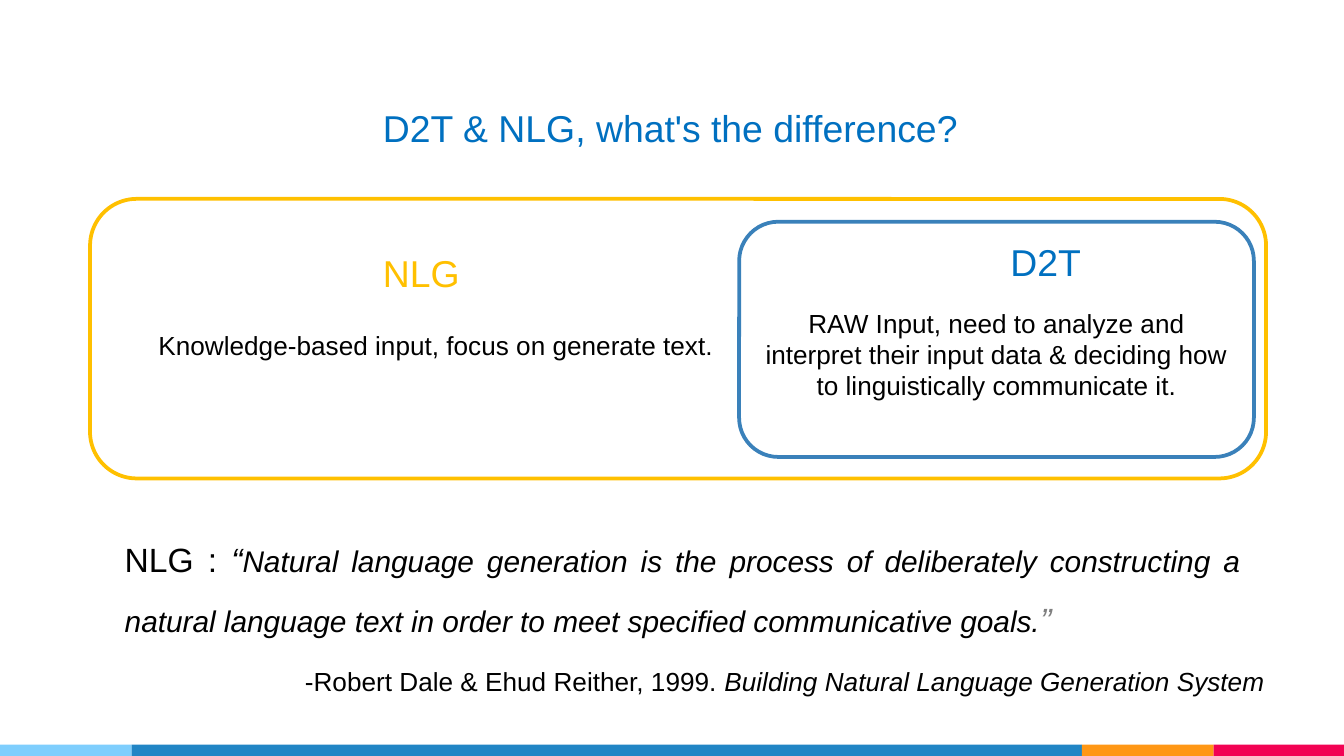
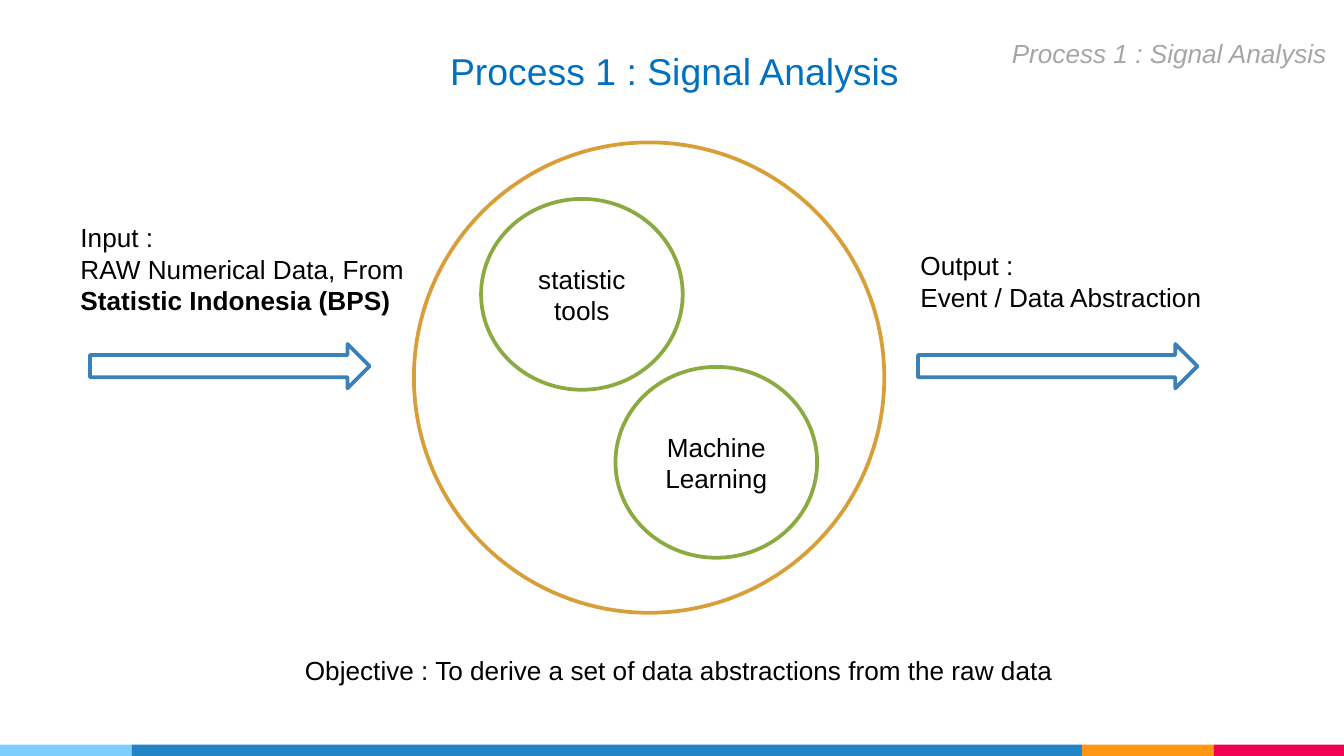
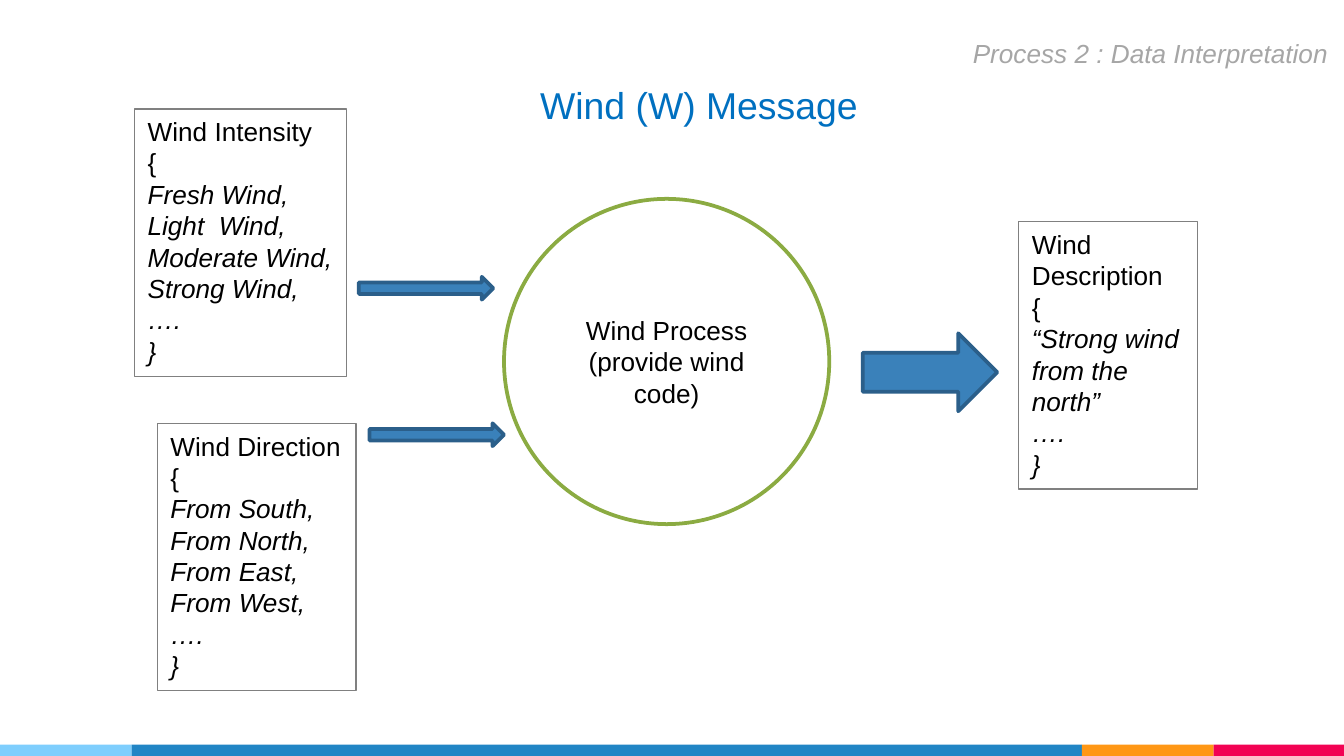
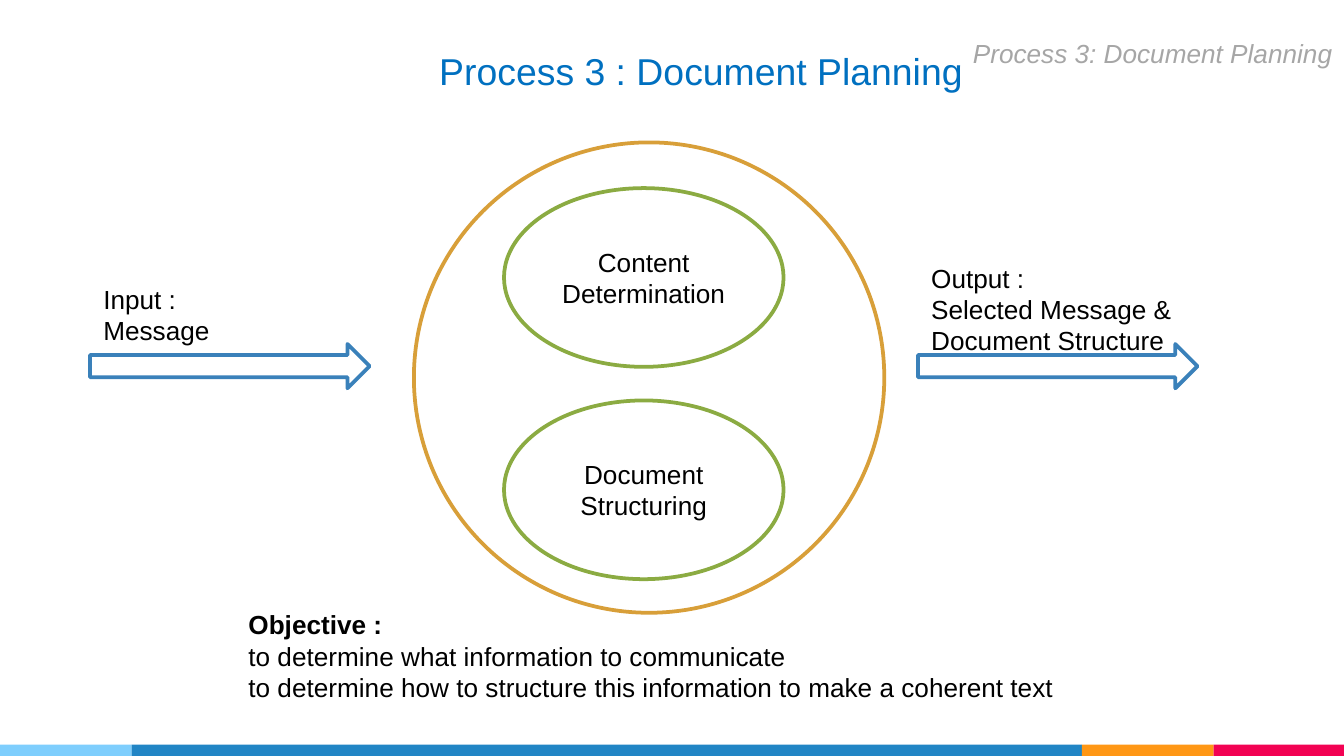
"""Build four slides on data-to-text and natural language generation."""
from pptx import Presentation
from pptx.dml.color import RGBColor
from pptx.enum.shapes import MSO_SHAPE as SHAPE
from pptx.enum.text import MSO_ANCHOR as ANCHOR, PP_ALIGN as ALIGN
from pptx.util import Inches, Pt

FONT = "Arial"
BLACK = RGBColor(0x00, 0x00, 0x00)
WHITE = RGBColor(0xFF, 0xFF, 0xFF)
GREY = RGBColor(0x80, 0x80, 0x80)
LIGHT_GREY = RGBColor(0xA6, 0xA6, 0xA6)
TITLE_BLUE = RGBColor(0x00, 0x70, 0xC0)
AMBER = RGBColor(0xFF, 0xC0, 0x00)
BLUE = RGBColor(0x3A, 0x81, 0xBA)
DARK_BLUE = RGBColor(0x2B, 0x5F, 0x8A)
OCHRE = RGBColor(0xD8, 0x9F, 0x39)
GREEN = RGBColor(0x8B, 0xAB, 0x42)
BANDS = (
    (0.98, RGBColor(0x7E, 0xCE, 0xFD)),
    (7.07, RGBColor(0x21, 0x85, 0xC5)),
    (0.98, RGBColor(0xFF, 0x97, 0x15)),
    (0.97, RGBColor(0xF2, 0x02, 0x53)),
)


def write(tf, paragraphs, size=14, color=BLACK, bold=False, italic=False,
          align=ALIGN.LEFT, spacing=None):
    if isinstance(paragraphs, str):
        paragraphs = [paragraphs]
    for i, runs in enumerate(paragraphs):
        p = tf.add_paragraph() if i else tf.paragraphs[0]
        p.alignment = align
        if spacing:
            p.line_spacing = spacing
        if isinstance(runs, str):
            runs = [(runs, {})]
        for text, own in runs:
            r = p.add_run()
            r.text = text
            r.font.name = FONT
            r.font.size = Pt(own.get("size", size))
            r.font.bold = own.get("bold", bold)
            r.font.italic = own.get("italic", italic)
            r.font.color.rgb = own.get("color", color)


def italics(*lines):
    return [[(line, {"italic": True})] for line in lines]


class Deck:
    def __init__(self):
        self.prs = Presentation()
        self.prs.slide_width = Inches(10)
        self.prs.slide_height = Inches(10) * 9 // 16
        self.layout = self.prs.slide_layouts[6]
        self.s = None

    def slide(self):
        self.s = self.prs.slides.add_slide(self.layout)

    def bands(self):
        left = 0
        for width, color in BANDS:
            sp = self.shape(SHAPE.RECTANGLE, left, 5.54, width, 0.08, fill=color)
            sp.height = self.prs.slide_height - sp.top
            self.layout.shapes.element.append(sp.element)
            left += width

    def shape(self, kind, x, y, w, h, fill=WHITE, line=None, text=None, top=0.05):
        sp = self.s.shapes.add_shape(kind, Inches(x), Inches(y), Inches(w), Inches(h))
        sp.shadow.inherit = False
        sp.fill.solid()
        sp.fill.fore_color.rgb = fill
        if line is None:
            sp.line.fill.background()
        else:
            sp.line.color.rgb = line
            sp.line.width = Pt(2)
        if text:
            tf = sp.text_frame
            tf.word_wrap = True
            tf.vertical_anchor = ANCHOR.MIDDLE
            tf.margin_top = Inches(top)
            write(tf, text, align=ALIGN.CENTER)
        return sp

    def text(self, x, y, w, h, paragraphs, wrap=False, **style):
        sp = self.s.shapes.add_textbox(Inches(x), Inches(y), Inches(w), Inches(h))
        sp.text_frame.word_wrap = wrap
        write(sp.text_frame, paragraphs, **style)
        return sp

    def heading(self, x, y, w, text, color=TITLE_BLUE):
        self.text(x, y, w, 0.44, text, size=20, color=color)

    def section(self, x, w, text):
        self.text(x, 0.23, w, 0.34, text, color=LIGHT_GREY, italic=True)

    def oval(self, x, y, w, h, text=None, line=GREEN):
        self.shape(SHAPE.OVAL, x, y, w, h, line=line, text=text)

    def arrow(self, x, y, w, h, fill=WHITE, line=BLUE):
        self.shape(SHAPE.RIGHT_ARROW, x, y, w, h, fill=fill, line=line)

    def process(self):
        self.oval(3.08, 1.06, 3.5, 3.5, line=OCHRE)
        for x in (0.67, 6.83):
            self.arrow(x, 2.56, 2.08, 0.33)

    def message(self, x, y, w, name, values, wrap=False):
        sp = self.text(x, y, w, 1.99, [name, "{", *italics(*values, "….", "}")], wrap)
        sp.line.color.rgb = GREY
        sp.line.width = Pt(0.75)


def difference(deck):
    deck.slide()
    deck.bands()
    deck.heading(2.75, 0.73, 4.52, "D2T & NLG, what's the difference?")
    deck.shape(SHAPE.ROUNDED_RECTANGLE, 0.67, 1.48, 8.75, 2.08, line=AMBER)
    deck.shape(SHAPE.ROUNDED_RECTANGLE, 5.5, 1.65, 3.83, 1.75, line=BLUE, top=0.27,
               text="RAW Input, need to analyze and interpret their input data "
                    "& deciding how to linguistically communicate it.")
    deck.text(0.83, 3.81, 8.5, 0.95, [[
        ("NLG : ", {"size": 18, "italic": False}),
        ("“", {"size": 18}),
        ("Natural language generation is the process of deliberately constructing "
         "a natural language text in order to meet specified communicative goals.", {}),
        ("”", {"size": 18, "color": GREY}),
    ]], wrap=True, size=16, italic=True, align=ALIGN.JUSTIFY, spacing=1.5)
    deck.heading(7.42, 1.73, 0.73, "D2T")
    deck.heading(2.75, 1.81, 0.78, "NLG", AMBER)
    deck.text(1.08, 2.4, 4.35, 0.34, "Knowledge-based input, focus on generate text.")
    deck.text(2.17, 4.9, 7.38, 0.34, [[
        ("-Robert Dale & Ehud Reither, 1999. ", {}),
        ("Building Natural Language Generation System", {"italic": True}),
    ]])


def signal_analysis(deck):
    deck.slide()
    deck.heading(3.25, 0.31, 3.59, "Process 1 : Signal Analysis")
    deck.process()
    deck.oval(3.58, 1.48, 1.5, 1.42, "statistic tools")
    deck.oval(4.58, 2.73, 1.5, 1.42, "Machine Learning")
    deck.text(0.5, 1.6, 2.75, 1.04, ["Input :", [
        ("RAW Numerical Data, From ", {}),
        ("Statistic Indonesia (BPS)", {"bold": True}),
    ]], wrap=True)
    deck.section(7.43, 2.57, "Process 1 : Signal Analysis")
    deck.text(6.75, 1.81, 2.75, 0.81, ["Output :", "Event / Data Abstraction"], wrap=True)
    deck.text(2.17, 4.82, 6.08, 0.8,
              "Objective : To derive a set of data abstractions from the raw data",
              wrap=True)


def wind_message(deck):
    deck.slide()
    deck.oval(3.75, 1.48, 2.42, 2.42, "Wind Process (provide wind code)")
    deck.arrow(6.42, 2.48, 1, 0.58, fill=BLUE, line=DARK_BLUE)
    deck.message(7.58, 1.65, 1.33, "Wind Description",
                 ["“Strong wind from the north”"], wrap=True)
    deck.message(1, 0.81, 1.58, "Wind Intensity",
                 ["Fresh Wind,", "Light  Wind,", "Moderate Wind,", "Strong Wind,"])
    deck.message(1.17, 3.15, 1.48, "Wind Direction",
                 [f"From {side}," for side in ("South", "North", "East", "West")])
    for x, y in ((2.67, 2.06), (2.75, 3.15)):
        deck.arrow(x, y, 1, 0.17, fill=BLUE, line=DARK_BLUE)
    deck.heading(3.92, 0.56, 2.58, "Wind (W) Message")
    deck.section(7.14, 2.86, "Process 2 : Data Interpretation")


def document_planning(deck):
    deck.slide()
    deck.heading(3.17, 0.31, 4.13, "Process 3 : Document Planning")
    deck.process()
    deck.text(0.67, 2.06, 2.75, 0.57, ["Input :", "Message"], wrap=True)
    deck.section(7.14, 2.89, "Process 3: Document Planning")
    deck.text(6.83, 1.9, 2.75, 1.04,
              ["Output :", "Selected Message & Document Structure"], wrap=True)
    deck.text(1.75, 4.48, 6.21, 0.81, [
        [("Objective :", {"bold": True})],
        "to determine what information to communicate",
        "to determine how to structure this information to make a coherent text",
    ])
    for y, step in ((1.4, "Content Determination"), (2.98, "Document Structuring")):
        deck.oval(3.75, y, 2.08, 1.33, step)


def main():
    deck = Deck()
    for build in (difference, signal_analysis, wind_message, document_planning):
        build(deck)
    deck.prs.save("out.pptx")


if __name__ == "__main__":
    main()
